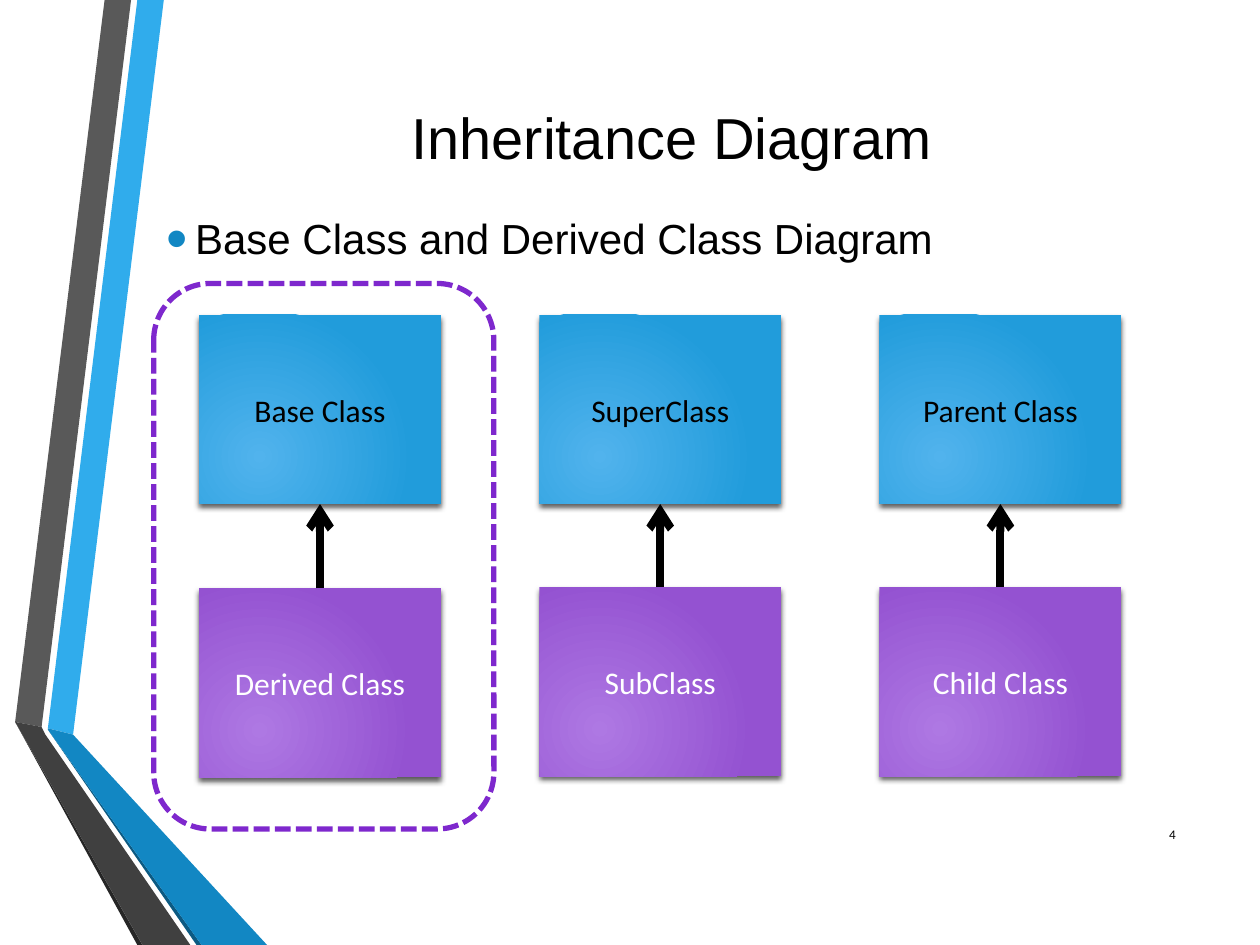
from lxml import etree
from pptx import Presentation
from pptx.dml.color import RGBColor
from pptx.enum import dml, shapes, text
from pptx.oxml import parse_xml
from pptx.oxml.ns import nsdecls, qn
from pptx.util import Inches, Pt

BLACK = RGBColor(0x00, 0x00, 0x00)
WHITE = RGBColor(0xFF, 0xFF, 0xFF)
SKY = RGBColor(0x30, 0xAC, 0xEC)
BLUE = RGBColor(0x12, 0x87, 0xC3)
NAVY = RGBColor(0x0C, 0x5A, 0x82)
GREY = RGBColor(0x59, 0x59, 0x59)
DARK_GREY = RGBColor(0x40, 0x40, 0x40)
CHARCOAL = RGBColor(0x26, 0x26, 0x26)
PURPLE = RGBColor(0x7E, 0x28, 0xCD)
BASE_GRADIENT = (RGBColor(0x51, 0xB3, 0xED), RGBColor(0x21, 0x9C, 0xDB))
DERIVED_GRADIENT = (RGBColor(0xAE, 0x78, 0xE3), RGBColor(0x94, 0x52, 0xD1))

# Content
TITLE = "Inheritance Diagram"
BULLET = "Base Class and Derived Class Diagram"
PAGE_NUMBER = "4"
CLASS_PAIRS = [  # base, derived, top of derived
    ("Base Class", "Derived Class", 4.67),
    ("SuperClass", "SubClass", 4.66),
    ("Parent Class", "Child Class", 4.66),
]
RIBBONS = [
    (SKY, [(0.38, 5.78), (0.58, 5.83), (1.3, 0), (1.09, 0)]),
    (GREY, [(1.04, 0), (0.83, 0), (0.12, 5.73), (0.33, 5.77)]),
    (CHARCOAL, [(0.12, 5.73), (1.09, 7.5), (1.13, 7.5)]),
    (NAVY, [(0.38, 5.79), (1.56, 7.5), (1.6, 7.5)]),
    (BLUE, [(0.38, 5.79), (1.6, 7.5), (2.12, 7.5), (0.58, 5.83), (0.38, 5.78)]),
    (DARK_GREY, [(1.51, 7.5), (0.36, 5.83), (0.33, 5.77), (0.12, 5.73), (1.13, 7.5)]),
]

# Layout in inches
FIRST_LEFT, COLUMN_STEP, BASE_TOP = 1.58, 2.7, 2.5
BOX_WIDTH, BOX_HEIGHT = 1.92, 1.5


def place(*lengths):
    return [Inches(length) for length in lengths]


def write(shape, words, font, align, anchor=text.MSO_ANCHOR.MIDDLE):
    frame = shape.text_frame
    frame.word_wrap = True
    frame.vertical_anchor = anchor
    paragraph = frame.paragraphs[0]
    paragraph.alignment = align
    run = paragraph.add_run()
    run.text = words
    run.font.color.rgb = font["color"]
    for key in ("name", "size"):
        setattr(run.font, key, font[key])
    return paragraph


def add_class(slide, words, left, top, gradient, color):
    box = slide.shapes.add_shape(shapes.MSO_SHAPE.RECTANGLE,
                                 *place(left, top, BOX_WIDTH, BOX_HEIGHT))
    box.line.fill.background()
    write(box, words, {"name": "Calibri", "size": Pt(18), "color": color},
          text.PP_ALIGN.CENTER)

    # Radial gradient
    box.fill.gradient()
    for stop, shade, position in zip(box.fill.gradient_stops, gradient, (0, 1)):
        stop.color.rgb = shade
        stop.position = position
    properties = box._element.spPr
    grad = properties.find(qn("a:gradFill"))
    grad.replace(grad.find(qn("a:lin")), parse_xml(
        f'<a:path {nsdecls("a")} path="circle"><a:fillToRect l="50000" t="100000" '
        'r="100000" b="50000"/></a:path>'))

    # Soft shadow below
    properties.append(parse_xml(
        f'<a:effectLst {nsdecls("a")}><a:outerShdw blurRad="38100" dist="25400" '
        'dir="5400000" rotWithShape="0"><a:srgbClr val="000000">'
        '<a:alpha val="64000"/></a:srgbClr></a:outerShdw></a:effectLst>'))
    return box


def add_arrow(slide, derived, base):
    arrow = slide.shapes.add_connector(shapes.MSO_CONNECTOR.STRAIGHT, 0, 0, 0, 0)
    arrow.begin_connect(derived, 0)
    arrow.end_connect(base, 2)
    arrow.line.color.rgb = BLACK
    arrow.line.width = Pt(4.5)
    etree.SubElement(arrow.line._get_or_add_ln(), qn("a:tailEnd"), type="arrow")
    etree.SubElement(arrow._element.spPr, qn("a:effectLst"))


def main():
    deck = Presentation()
    deck.slide_width, deck.slide_height = place(10, 7.5)
    slide = deck.slides.add_slide(deck.slide_layouts[5])

    # Side ribbons
    for color, points in RIBBONS:
        corners = [place(*point) for point in points]
        builder = slide.shapes.build_freeform(*corners[0])
        builder.add_line_segments(corners[1:], close=True)
        ribbon = builder.convert_to_shape()
        ribbon.fill.solid()
        ribbon.fill.fore_color.rgb = color
        ribbon.line.fill.background()
        ribbon.shadow.inherit = False

    # Title
    title = slide.shapes.title
    title.left, title.top, title.width, title.height = place(1.22, 0.52, 8.22, 1.12)
    write(title, TITLE, {"name": "Arial", "size": Pt(33), "color": BLACK},
          text.PP_ALIGN.CENTER)

    # Bullet
    body = slide.shapes.add_textbox(*place(1.22, 1.69, 8.22, 0.81))
    body.text_frame.margin_top = 0
    paragraph = write(body, BULLET, {"name": "Arial", "size": Pt(24), "color": BLACK},
                      text.PP_ALIGN.LEFT, text.MSO_ANCHOR.TOP)
    bullet = paragraph._p.get_or_add_pPr()
    bullet.set("marL", str(Inches(0.23)))
    bullet.set("indent", str(Inches(-0.23)))
    color = etree.SubElement(bullet, qn("a:buClr"))
    etree.SubElement(color, qn("a:srgbClr"), val=str(BLUE))
    etree.SubElement(bullet, qn("a:buSzPct"), val="145000")
    etree.SubElement(bullet, qn("a:buFont"), typeface="Arial")
    etree.SubElement(bullet, qn("a:buChar"), char="•")

    # Page number
    number = slide.shapes.add_textbox(*place(8.98, 6.42, 0.45, 0.4))
    write(number, PAGE_NUMBER, {"name": "Calibri", "size": Pt(7.5), "color": BLACK},
          text.PP_ALIGN.RIGHT)

    # Class pairs
    for column, (base_name, derived_name, derived_top) in enumerate(CLASS_PAIRS):
        left = FIRST_LEFT + column * COLUMN_STEP
        base = add_class(slide, base_name, left, BASE_TOP, BASE_GRADIENT, BLACK)
        derived = add_class(slide, derived_name, left, derived_top,
                            DERIVED_GRADIENT, WHITE)
        add_arrow(slide, derived, base)

    # Dashed frame around the first pair
    frame = slide.shapes.add_shape(shapes.MSO_SHAPE.ROUNDED_RECTANGLE,
                                   *place(1.22, 2.25, 2.7, 4.33))
    frame.fill.background()
    frame.shadow.inherit = False
    frame.line.color.rgb = PURPLE
    for key, value in {"width": Pt(3),
                       "dash_style": dml.MSO_LINE.SQUARE_DOT}.items():
        setattr(frame.line, key, value)

    deck.save("out.pptx")


if __name__ == "__main__":
    main()
